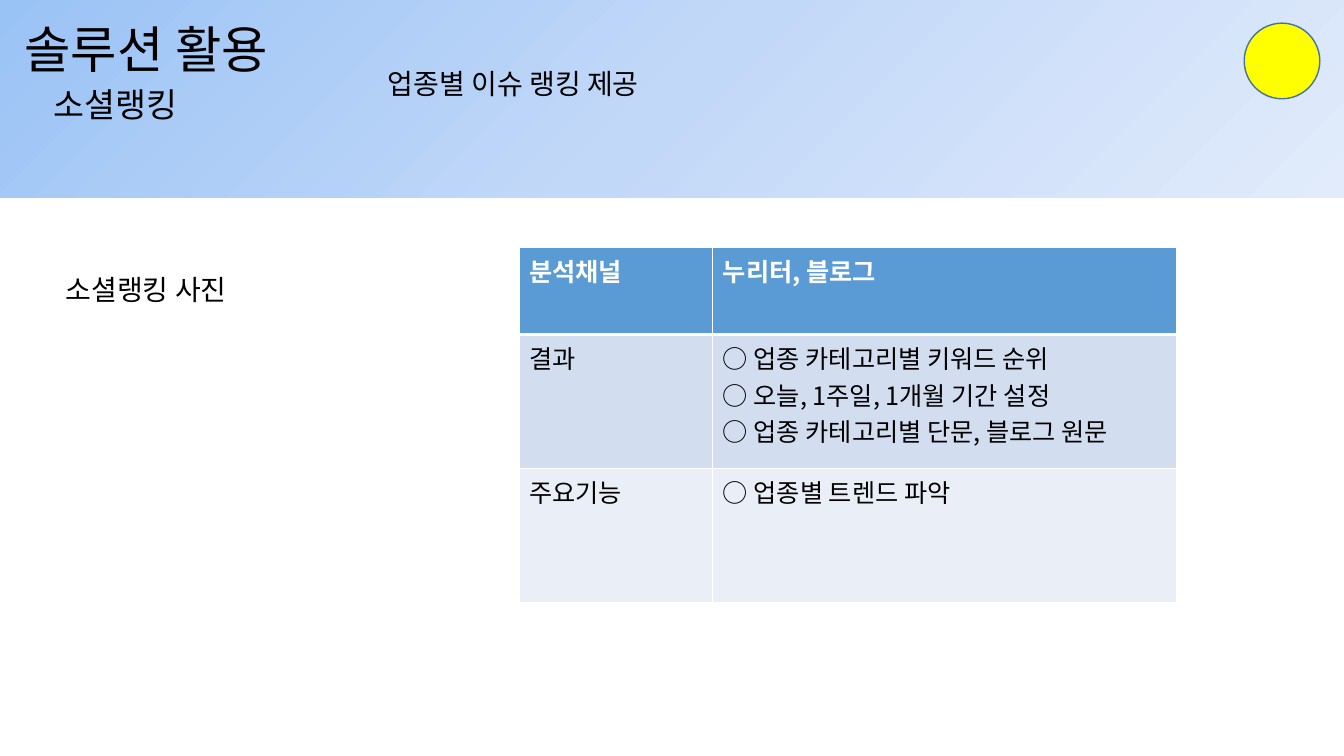
from copy import deepcopy
from dataclasses import dataclass

from lxml import etree
from pptx import Presentation
from pptx.dml.color import RGBColor
from pptx.enum import shapes, text
from pptx.oxml import ns
from pptx.util import Inches, Pt

FONT = "Noto Sans CJK KR"
BLACK = RGBColor(0x00, 0x00, 0x00)
WHITE = RGBColor(0xFF, 0xFF, 0xFF)
YELLOW = RGBColor(0xFF, 0xFF, 0x00)
OUTLINE = RGBColor(0x43, 0x73, 0x9E)
HEADER_BLUE = RGBColor(0x5B, 0x9B, 0xD5)
BAND_DARK = RGBColor(0xD2, 0xDE, 0xEF)
BAND_LIGHT = RGBColor(0xEA, 0xEF, 0xF7)
BANNER_STOPS = (
    (0, RGBColor(0x9A, 0xC3, 0xF5)),
    (0.5, RGBColor(0xC2, 0xD8, 0xF8)),
    (1, RGBColor(0xE1, 0xEB, 0xFB)),
)


@dataclass(frozen=True)
class Label:
    words: str
    left: float
    top: float
    width: float
    height: float
    size: int


@dataclass(frozen=True)
class Row:
    heading: str
    details: tuple[tuple[str, ...], ...]
    height: float
    fill: RGBColor
    color: RGBColor = BLACK
    bold: bool = False
    top_line: int = 1
    bottom_line: int = 1


LABELS = (
    Label("솔루션 활용", 0, 0.13, 2.9, 0.71, 36),
    Label("소셜랭킹", 0.37, 0.78, 1.55, 0.5, 24),
    Label("업종별 이슈 랭킹 제공", 3.58, 0.61, 3.02, 0.44, 20),
    Label("소셜랭킹 사진", 0.46, 2.65, 1.98, 0.44, 20),
)
ROWS = (
    Row("분석채널", (("누리터, 블로그",),), 0.87, HEADER_BLUE, WHITE, True, bottom_line=3),
    Row(
        "결과",
        (
            ("○ 업종 카테고리별 키워드 순위",),
            ("○ 오늘, 1주일, 1개월 기간 설정", "○ 업종 카테고리별 단문, 블로그 원문"),
        ),
        1.33,
        BAND_DARK,
        top_line=3,
    ),
    Row("주요기능", (("○ 업종별 트렌드 파악",),), 1.33, BAND_LIGHT),
)
COLUMN_WIDTHS = (1.92, 4.6)


def add_span(para, words: str, size: int, color: RGBColor, bold: bool = False) -> None:
    span = para.add_run()
    span.text = words
    span.font.name = FONT
    span.font.size = Pt(size)
    span.font.bold = bold
    span.font.color.rgb = color
    east_asian = etree.SubElement(span.font._element, ns.qn("a:ea"))
    east_asian.set("typeface", FONT)


def add_banner(page) -> None:
    banner = page.shapes.add_shape(
        shapes.MSO_SHAPE.RECTANGLE, 0, 0, Inches(13.33), Inches(1.96)
    )
    banner.shadow.inherit = False
    banner.line.fill.background()
    banner.fill.gradient()
    banner.fill.gradient_angle = 315
    stop_list = banner._element.spPr.find(".//" + ns.qn("a:gsLst"))
    stop_list.append(deepcopy(stop_list[-1]))
    for stop, (position, color) in zip(banner.fill.gradient_stops, BANNER_STOPS):
        stop.position = position
        stop.color.rgb = color


def add_circle(page) -> None:
    circle = page.shapes.add_shape(
        shapes.MSO_SHAPE.OVAL, Inches(12.34), Inches(0.23), Inches(0.75), Inches(0.75)
    )
    circle.shadow.inherit = False
    circle.fill.solid()
    circle.fill.fore_color.rgb = YELLOW
    circle.line.color.rgb = OUTLINE
    circle.line.width = Pt(1)


def add_label(page, label: Label) -> None:
    box = page.shapes.add_textbox(
        Inches(label.left), Inches(label.top), Inches(label.width), Inches(label.height)
    )
    box.text_frame.word_wrap = False
    box.text_frame.auto_size = text.MSO_AUTO_SIZE.SHAPE_TO_FIT_TEXT
    para = box.text_frame.paragraphs[0]
    para.alignment = text.PP_ALIGN.CENTER
    add_span(para, label.words, label.size, BLACK)


def add_borders(cell, row: Row) -> None:
    properties = cell._tc.get_or_add_tcPr()
    widths = {"lnL": 1, "lnR": 1, "lnT": row.top_line, "lnB": row.bottom_line}
    for side, width in widths.items():
        border = etree.SubElement(properties, ns.qn(f"a:{side}"), w=str(Pt(width)))
        fill = etree.SubElement(border, ns.qn("a:solidFill"))
        etree.SubElement(fill, ns.qn("a:srgbClr"), val=str(WHITE))


def fill_cell(cell, paragraphs: tuple[tuple[str, ...], ...], row: Row) -> None:
    add_borders(cell, row)
    cell.fill.solid()
    cell.fill.fore_color.rgb = row.fill
    for index, lines in enumerate(paragraphs):
        frame = cell.text_frame
        para = frame.add_paragraph() if index else frame.paragraphs[0]
        for number, words in enumerate(lines):
            if number:
                para.add_line_break()
            add_span(para, words, 18, row.color, row.bold)


def add_summary_table(page) -> None:
    height = sum(row.height for row in ROWS)
    table = page.shapes.add_table(
        len(ROWS),
        len(COLUMN_WIDTHS),
        Inches(5.15),
        Inches(2.45),
        Inches(sum(COLUMN_WIDTHS)),
        Inches(height),
    ).table
    for column, width in zip(table.columns, COLUMN_WIDTHS):
        column.width = Inches(width)
    for index, row in enumerate(ROWS):
        table.rows[index].height = Inches(row.height)
        fill_cell(table.cell(index, 0), ((row.heading,),), row)
        fill_cell(table.cell(index, 1), row.details, row)


def main() -> None:
    deck = Presentation()
    deck.slide_width = Inches(13.33)
    deck.slide_height = Inches(7.5)
    page = deck.slides.add_slide(deck.slide_layouts[6])
    add_banner(page)
    add_circle(page)
    for label in LABELS:
        add_label(page, label)
    add_summary_table(page)
    deck.save("out.pptx")


if __name__ == "__main__":
    main()
